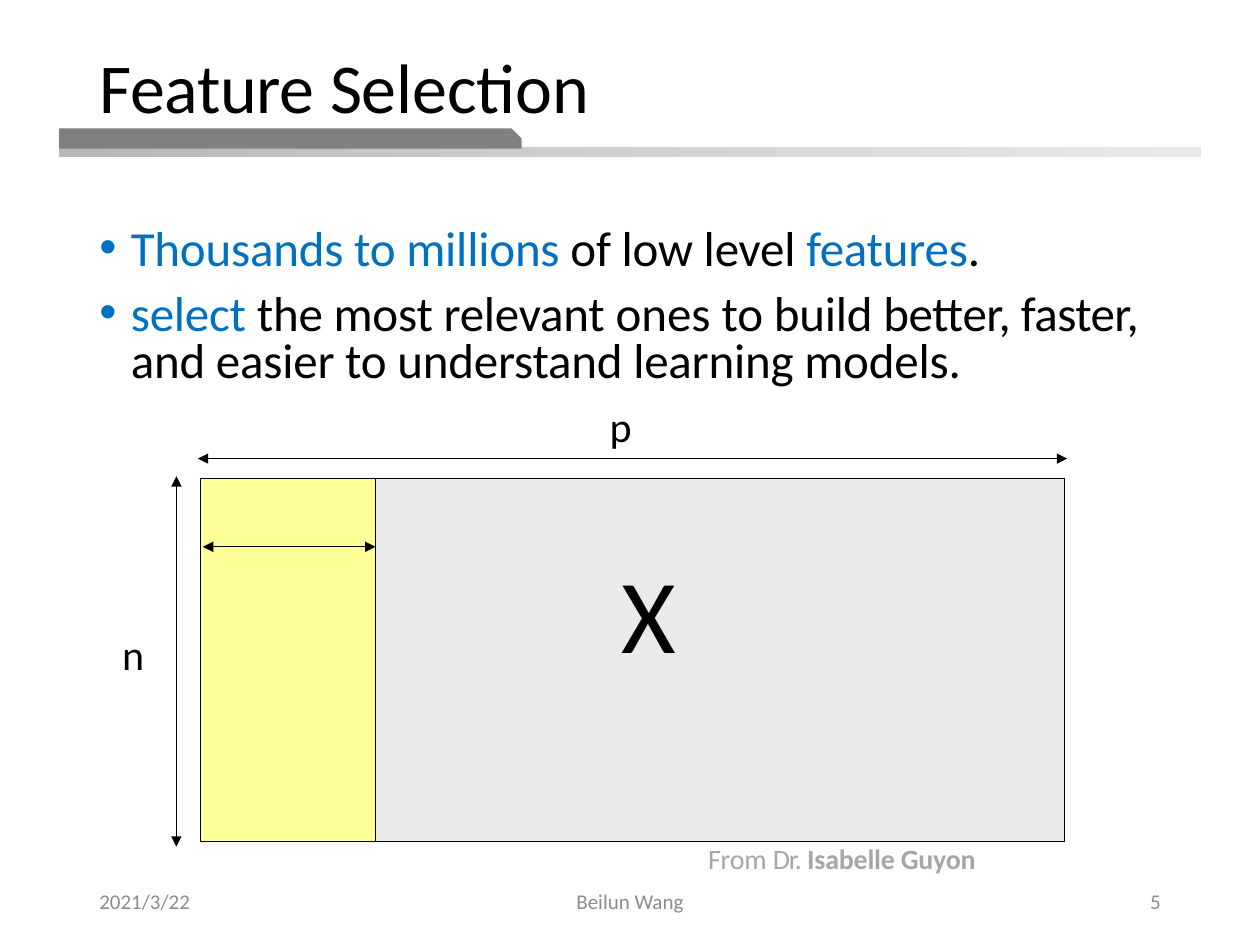
from lxml import etree
from pptx import Presentation
from pptx.dml.color import RGBColor
from pptx.enum.shapes import MSO_CONNECTOR, MSO_SHAPE
from pptx.enum.text import MSO_ANCHOR, PP_ALIGN
from pptx.oxml.ns import qn
from pptx.util import Inches, Pt

BLACK = RGBColor(0x00, 0x00, 0x00)
BLUE = RGBColor(0x00, 0x70, 0xC0)
BAR_GRAY = RGBColor(0x80, 0x80, 0x80)
RULE_START = RGBColor(0xB8, 0xB8, 0xB8)
RULE_END = RGBColor(0xE9, 0xE9, 0xE9)
MATRIX_GRAY = RGBColor(0xEA, 0xEA, 0xEA)
YELLOW = RGBColor(0xFF, 0xFF, 0x99)
FOOTER_GRAY = RGBColor(0x8C, 0x8C, 0x8C)
CREDIT_GRAY = RGBColor(0xA6, 0xA6, 0xA6)

TIGHT = {"margin_left": 0, "margin_top": Inches(0.01), "margin_right": 0, "margin_bottom": 0}
MIDDLE = {"vertical_anchor": MSO_ANCHOR.MIDDLE}


def apply(target, values):
    for name, value in values.items():
        setattr(target, name, value)


class SlideBuilder:
    def __init__(self, slide, font="Calibri"):
        self.slide = slide
        self.shapes = slide.shapes
        self.font = font

    def run(self, p, text, size, color, spacing=0, bold=False):
        """Add a run; spacing is the letter spacing in points."""
        r = p.add_run()
        r.text = text
        apply(r.font, {"name": self.font, "size": Pt(size), "bold": bold})
        r.font.color.rgb = color
        if spacing:
            r._r.get_or_add_rPr().set("spc", str(round(spacing * 100)))

    def title(self, box, runs):
        sp = self.shapes.title
        apply(sp, dict(zip(("left", "top", "width", "height"), map(Inches, box))))
        apply(sp.text_frame, MIDDLE)
        p = sp.text_frame.paragraphs[0]
        apply(p, {"alignment": PP_ALIGN.LEFT, "line_spacing": 0.9})
        for text, spacing in runs:
            self.run(p, text, 40, BLACK, spacing)

    def text(self, box, runs, size, color, para=None, frame=None):
        """Add a one-paragraph text box; runs hold (text, spacing, bold)."""
        tf = self.shapes.add_textbox(*map(Inches, box)).text_frame
        apply(tf, {"word_wrap": True, **(frame or {})})
        p = tf.paragraphs[0]
        apply(p, para or {})
        for text, spacing, bold in runs:
            self.run(p, text, size, color, spacing, bold)

    def bullets(self, box, items, size):
        """Add a bulleted list; each item is a list of (text, color, spacing)."""
        tf = self.shapes.add_textbox(*map(Inches, box)).text_frame
        tf.word_wrap = True
        for i, runs in enumerate(items):
            p = tf.add_paragraph() if i else tf.paragraphs[0]
            apply(p, {"line_spacing": 0.8, "space_before": Pt(10)})
            pPr = p._p.get_or_add_pPr()
            pPr.set("marL", str(Inches(0.25)))
            pPr.set("indent", str(-Inches(0.25)))
            etree.SubElement(pPr, qn("a:buFont"), typeface="Arial")
            etree.SubElement(pPr, qn("a:buChar"), char="•")
            for text, color, spacing in runs:
                self.run(p, text, size, color, spacing)

    def box(self, box, fill, line=None, kind=MSO_SHAPE.RECTANGLE):
        """Add a preset shape; a list of two fill colours makes a gradient."""
        sp = self.shapes.add_shape(kind, *map(Inches, box))
        sp.shadow.inherit = False
        if isinstance(fill, list):
            sp.fill.gradient()
            sp.fill.gradient_angle = 0
            for position, (stop, color) in enumerate(zip(sp.fill.gradient_stops, fill)):
                stop.position = position
                stop.color.rgb = color
        else:
            sp.fill.solid()
            sp.fill.fore_color.rgb = fill
        if line is None:
            sp.line.fill.background()
        else:
            sp.line.color.rgb = line
            sp.line.width = Pt(0.75)
        return sp

    def double_arrow(self, x1, y1, x2, y2):
        cxn = self.shapes.add_connector(MSO_CONNECTOR.STRAIGHT, *map(Inches, (x1, y1, x2, y2)))
        cxn.line.color.rgb = BLACK
        cxn.line.width = Pt(0.75)
        ln = cxn.line._get_or_add_ln()
        for end in ("a:headEnd", "a:tailEnd"):
            etree.SubElement(ln, qn(end), type="triangle")
        etree.SubElement(cxn._element.spPr, qn("a:effectLst"))


def main():
    prs = Presentation()
    prs.slide_width, prs.slide_height = Inches(10), Inches(7.5)
    s = SlideBuilder(prs.slides.add_slide(prs.slide_layouts[5]))

    s.box((0.47, 1.17, 9.06, 0.08), [RULE_START, RULE_END])
    tab = s.box((0.47, 1.02, 3.67, 0.16), BAR_GRAY, kind=MSO_SHAPE.SNIP_1_RECTANGLE)
    tab.adjustments[0] = 0.5
    s.title((0.69, 0.4, 8.38, 0.64), [("Feature ", -0.2), ("Selection", -0.1)])

    s.bullets((0.69, 1.77, 8.62, 1.4), [
        [("Thousands to millions ", BLUE, -0.1), ("of low level ", BLACK, -0.1),
         ("features", BLUE, -0.1), (".", BLACK, -0.1)],
        [("select", BLUE, -0.1), (" the most relevant ", BLACK, -0.1), ("ones ", BLACK, 0),
         ("to build ", BLACK, -0.1), ("better, faster, ", BLACK, -0.3),
         ("and easier to understand learning models.", BLACK, -0.1)],
    ], 28)

    footers = [
        (0.69, 2.25, "2021/3/22", PP_ALIGN.LEFT),
        (3.31, 3.38, "Beilun Wang", PP_ALIGN.CENTER),
        (7.06, 2.25, "5", PP_ALIGN.RIGHT),
    ]
    for left, width, text, align in footers:
        s.text((left, 6.95, width, 0.4), [(text, 0, False)], 12, FOOTER_GRAY,
               {"alignment": align}, MIDDLE)

    left, top, width, height, selected = 1.59, 3.8, 6.86, 2.88, 1.39
    s.box((left, top, width, height), MATRIX_GRAY, BLACK)
    s.box((left, top, selected, height), YELLOW, BLACK)
    s.double_arrow(left - 0.02, 3.64, left + width + 0.02, 3.64)
    s.double_arrow(1.4, top - 0.02, 1.4, top + height + 0.04)
    s.double_arrow(left + 0.02, 4.34, left + selected, 4.34)

    before = {"space_before": Pt(1)}
    label = {**TIGHT, "word_wrap": False}
    s.text((4.93, 4.34, 0.45, 1.03), [("X", 0, False)], 60, BLACK, before, label)
    s.text((0.97, 4.98, 0.16, 0.42), [("n", 0, False)], 24, BLACK, before, label)
    s.text((4.74, 3.13, 0.38, 0.5), [("p", 0, False)], 24, BLACK, frame={"word_wrap": False})
    s.text((5.62, 6.67, 2.48, 0.28),
           [("From ", -0.1, False), ("Dr. ", -0.6, False), ("Isabelle Guyon", -0.1, True)],
           16, CREDIT_GRAY, before, TIGHT)

    prs.save("out.pptx")


if __name__ == "__main__":
    main()
